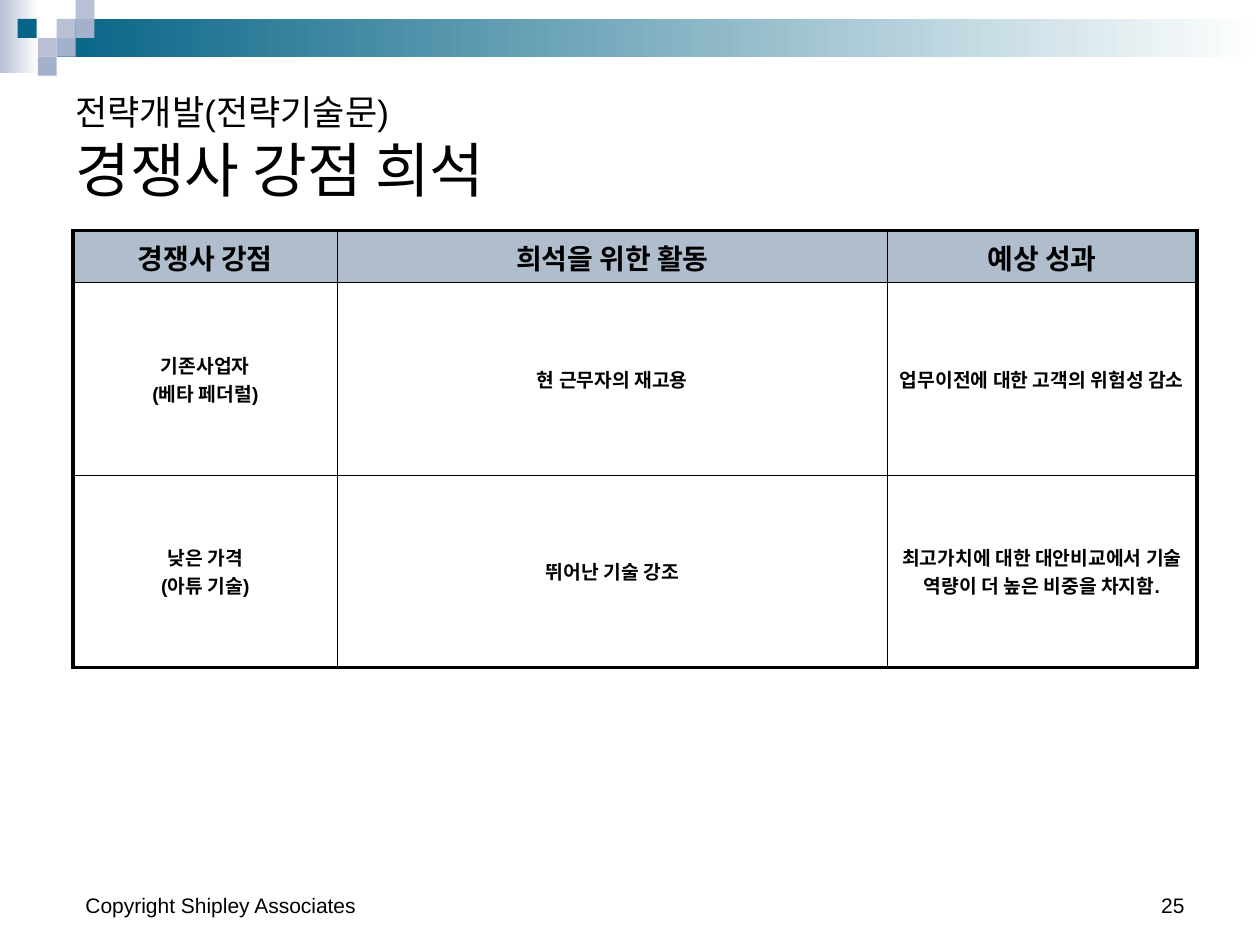
from lxml import etree
from pptx import Presentation
from pptx.dml.color import RGBColor
from pptx.enum import shapes, text
from pptx.oxml.ns import qn
from pptx.util import Inches, Pt

COLORS = {"teal": "066486", "lilac": "B9C0D5", "blue": "A4B1CC",
          "head": "B0BDCD", "white": "FFFFFF", "black": "000000"}
FONT = "Arial"

# left, top, width, height, start colour of the fade to white
BANDS = [(0, 0, 0.31, 0.58, "lilac"), (0.45, 0.15, 9.55, 0.3, "teal")]
# left, top, colour
TILE = 0.15
TILES = [(0.45, 0.15, "lilac"), (0.6, 0, "lilac"), (0.6, 0.15, "blue"),
         (0.3, 0.3, "lilac"), (0.14, 0.15, "teal"), (0.45, 0.3, "blue"),
         (0.3, 0.45, "blue")]

TITLE = [("전략개발(전략기술문)", 20), ("경쟁사 강점 희석", 34)]
FOOTER = "Copyright Shipley Associates"
NUMBER = "25"

COLS = [2.1, 4.36, 2.46]
ROWS = [0.41, 1.53, 1.53]
CELLS = [
    [["경쟁사 강점"], ["희석을 위한 활동"], ["예상 성과"]],
    [["기존사업자", "(베타 페더럴)"], ["현 근무자의 재고용"],
     ["업무이전에 대한 고객의 위험성 감소"]],
    [["낮은 가격", "(아튜 기술)"], ["뛰어난 기술 강조"],
     ["최고가치에 대한 대안비교에서 기술 역량이 더 높은 비중을 차지함."]],
]
THICK, THIN = 2.25, 0.25


def rgb(name):
    return RGBColor.from_string(COLORS[name])


def add_rect(slide, left, top, width, height):
    rect = slide.shapes.add_shape(shapes.MSO_SHAPE.RECTANGLE, Inches(left),
                                  Inches(top), Inches(width), Inches(height))
    rect.shadow.inherit = False
    rect.line.fill.background()
    return rect


def add_run(para, words, size, bold=False):
    run = para.add_run()
    run.text = words
    run.font.name = FONT
    run.font.size = Pt(size)
    run.font.bold = bold
    run.font.color.rgb = rgb("black")


def add_box(slide, left, top, width, height, lines, align):
    """Bottom-anchored text box; lines are joined by line breaks."""
    box = slide.shapes.add_textbox(Inches(left), Inches(top),
                                   Inches(width), Inches(height))
    frame = box.text_frame
    frame.word_wrap = True
    frame.vertical_anchor = text.MSO_ANCHOR.BOTTOM
    para = frame.paragraphs[0]
    para.alignment = align
    for i, (words, size) in enumerate(lines):
        if i:
            para.add_line_break()
        add_run(para, words, size)


def set_borders(cell, widths):
    props = cell._tc.get_or_add_tcPr()
    for i, (side, width) in enumerate(widths.items()):
        line = etree.Element(qn(f"a:ln{side}"), w=str(Pt(width)))
        fill = etree.SubElement(line, qn("a:solidFill"))
        etree.SubElement(fill, qn("a:srgbClr"), val=COLORS["black"])
        props.insert(i, line)


def add_grid(slide):
    table = slide.shapes.add_table(
        len(ROWS), len(COLS), Inches(0.58), Inches(1.83),
        Inches(sum(COLS)), Inches(sum(ROWS))).table
    for col, width in zip(table.columns, COLS):
        col.width = Inches(width)
    for row, height in zip(table.rows, ROWS):
        row.height = Inches(height)
    for r, row in enumerate(CELLS):
        for c, lines in enumerate(row):
            cell = table.cell(r, c)
            cell.vertical_anchor = text.MSO_ANCHOR.MIDDLE
            cell.fill.solid()
            cell.fill.fore_color.rgb = rgb("white" if r else "head")
            edges = {"L": c == 0, "R": c == len(COLS) - 1,
                     "T": r == 0, "B": r == len(ROWS) - 1}
            set_borders(cell, {side: THICK if outer else THIN
                               for side, outer in edges.items()})
            frame = cell.text_frame
            for i, words in enumerate(lines):
                para = frame.add_paragraph() if i else frame.paragraphs[0]
                para.alignment = text.PP_ALIGN.CENTER
                add_run(para, words, 11 if r else 16, bold=True)


def main():
    deck = Presentation()
    deck.slide_width, deck.slide_height = Inches(10), Inches(7.5)
    slide = deck.slides.add_slide(deck.slide_layouts[6])

    for *area, color in BANDS:
        fill = add_rect(slide, *area).fill
        fill.gradient()
        fill.gradient_angle = 0
        for stop, place, name in zip(fill.gradient_stops, (0, 1),
                                     (color, "white")):
            stop.position = place
            stop.color.rgb = rgb(name)
    for left, top, color in TILES:
        fill = add_rect(slide, left, top, TILE, TILE).fill
        fill.solid()
        fill.fore_color.rgb = rgb(color)

    start, end = text.PP_ALIGN.LEFT, text.PP_ALIGN.RIGHT
    add_box(slide, 7.17, 6.83, 2.33, 0.5, [(NUMBER, 12)], end)
    add_box(slide, 0.58, 6.83, 3.17, 0.5, [(FOOTER, 12)], start)
    add_box(slide, 0.5, 0.5, 9, 1.17, TITLE, start)
    add_grid(slide)
    deck.save("out.pptx")


if __name__ == "__main__":
    main()
